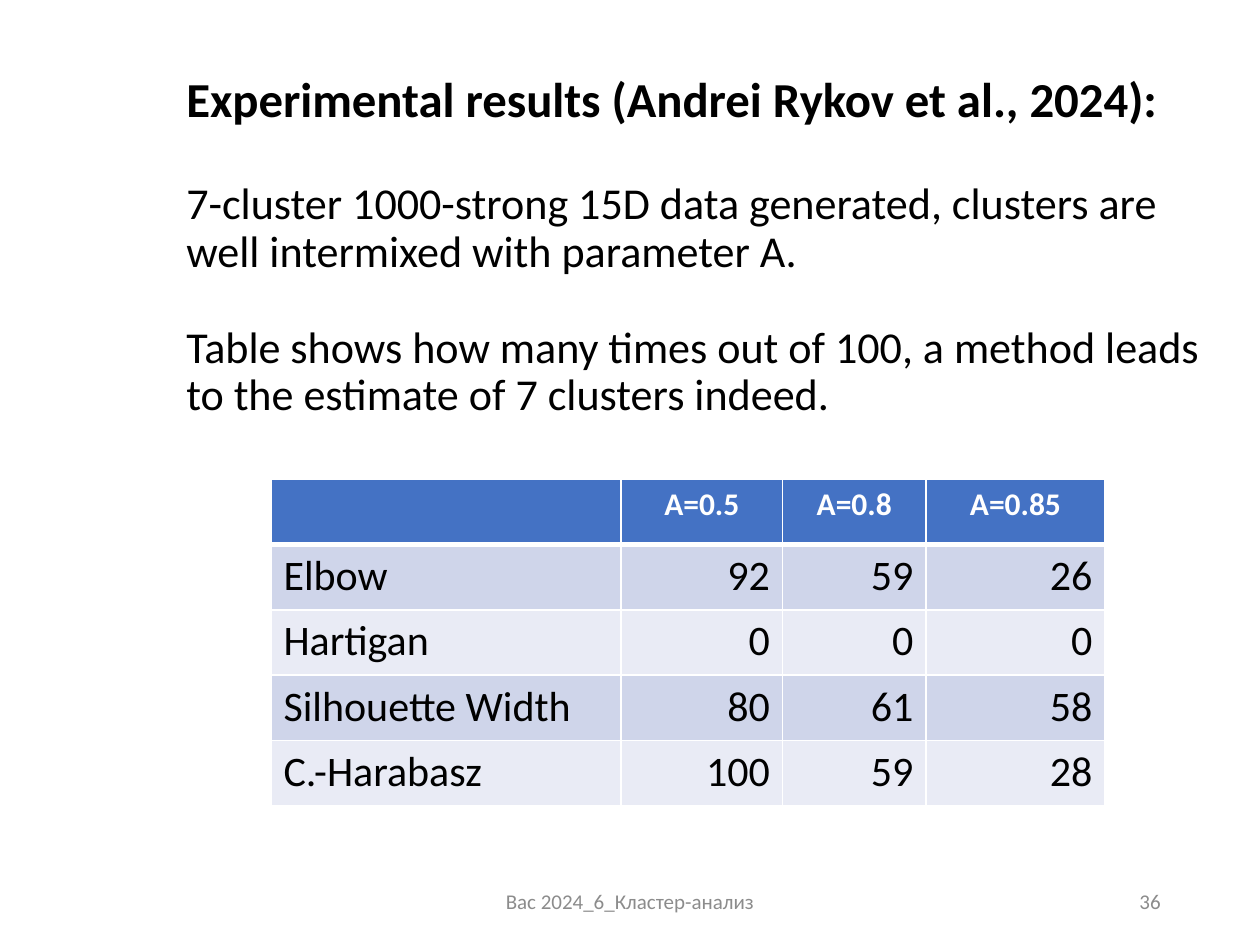
from lxml import etree
from pptx import Presentation
from pptx.dml.color import RGBColor
from pptx.enum.text import MSO_ANCHOR, PP_ALIGN
from pptx.oxml.ns import qn
from pptx.util import Inches, Pt

LEFT, MID, RIGHT = PP_ALIGN.LEFT, PP_ALIGN.CENTER, PP_ALIGN.RIGHT
CENTER = MSO_ANCHOR.MIDDLE
FONT = "Calibri"
COLORS = {"head": "4472C4", "odd": "CFD5EA", "even": "E9EBF5",
          "white": "FFFFFF", "black": "000000", "gray": "8C8C8C"}


def style(para, size, color, align=LEFT, bold=False):
    para.alignment = align
    font = para.font
    font.name, font.size, font.bold = FONT, Pt(size), bold
    font.color.rgb = RGBColor.from_string(COLORS[color])


def add_text(left, top, width, height):
    """Add a wrapped, vertically centred text box and return its frame."""
    box = slide.shapes.add_textbox(
        Inches(left), Inches(top), Inches(width), Inches(height))
    frame = box.text_frame
    frame.word_wrap = True
    frame.vertical_anchor = CENTER
    return frame


prs = Presentation()
prs.slide_width, prs.slide_height = Inches(10), Inches(7.5)
slide = prs.slides.add_slide(prs.slide_layouts[6])

# Heading and description: text, size, bold, space before
intro = [
    ("Experimental results (Andrei Rykov et al., 2024):", 27.9, True, 0),
    ("7-cluster 1000-strong 15D data generated, clusters are well "
     "intermixed with parameter A.", 25.2, False, 30.6),
    ("Table shows how many times out of 100, a method leads to the "
     "estimate of 7 clusters indeed.", 25.2, False, 27.7),
]
frame = add_text(1.38, 0.42, 8.29, 3.09)
for i, (text, size, bold, gap) in enumerate(intro):
    para = frame.add_paragraph() if i else frame.paragraphs[0]
    para.text = text
    para.line_spacing = 0.9
    para.space_before = Pt(gap)
    style(para, size, "black", bold=bold)

# Results table
rows = [
    ("", "A=0.5", "A=0.8", "A=0.85"),
    ("Elbow", "92", "59", "26"),
    ("Hartigan", "0", "0", "0"),
    ("Silhouette Width", "80", "61", "58"),
    ("C.-Harabasz", "100", "59", "28"),
]
widths = [2.78, 1.28, 1.14, 1.42]
table = slide.shapes.add_table(
    len(rows), len(widths), Inches(2.15), Inches(3.8),
    Inches(sum(widths)), Inches(2.6)).table
for col, width in zip(table.columns, widths):
    col.width = Inches(width)

for r, row in enumerate(rows):
    table.rows[r].height = Inches(0.52)
    shade = "head" if r == 0 else "odd" if r % 2 else "even"
    for c, text in enumerate(row):
        cell = table.cell(r, c)
        props = cell._tc.get_or_add_tcPr()
        for side in "LRTB":
            thick = (r, side) in [(0, "B"), (1, "T")]
            line = etree.SubElement(props, qn(f"a:ln{side}"),
                                    w=str(Pt(3 if thick else 1)))
            paint = etree.SubElement(line, qn("a:solidFill"))
            etree.SubElement(paint, qn("a:srgbClr"), val=COLORS["white"])
        cell.fill.solid()
        cell.fill.fore_color.rgb = RGBColor.from_string(COLORS[shade])
        cell.text = text
        para = cell.text_frame.paragraphs[0]
        if r == 0:
            style(para, 18, "white", MID, True)
        else:
            style(para, 24, "black", RIGHT if c else LEFT)

# Footer and page number
for text, left, width, align in [
        ("Bac 2024_6_Кластер-анализ", 3.31, 3.38, MID),
        ("36", 7.06, 2.25, RIGHT)]:
    para = add_text(left, 6.95, width, 0.4).paragraphs[0]
    para.text = text
    style(para, 12, "gray", align)

prs.save("out.pptx")
